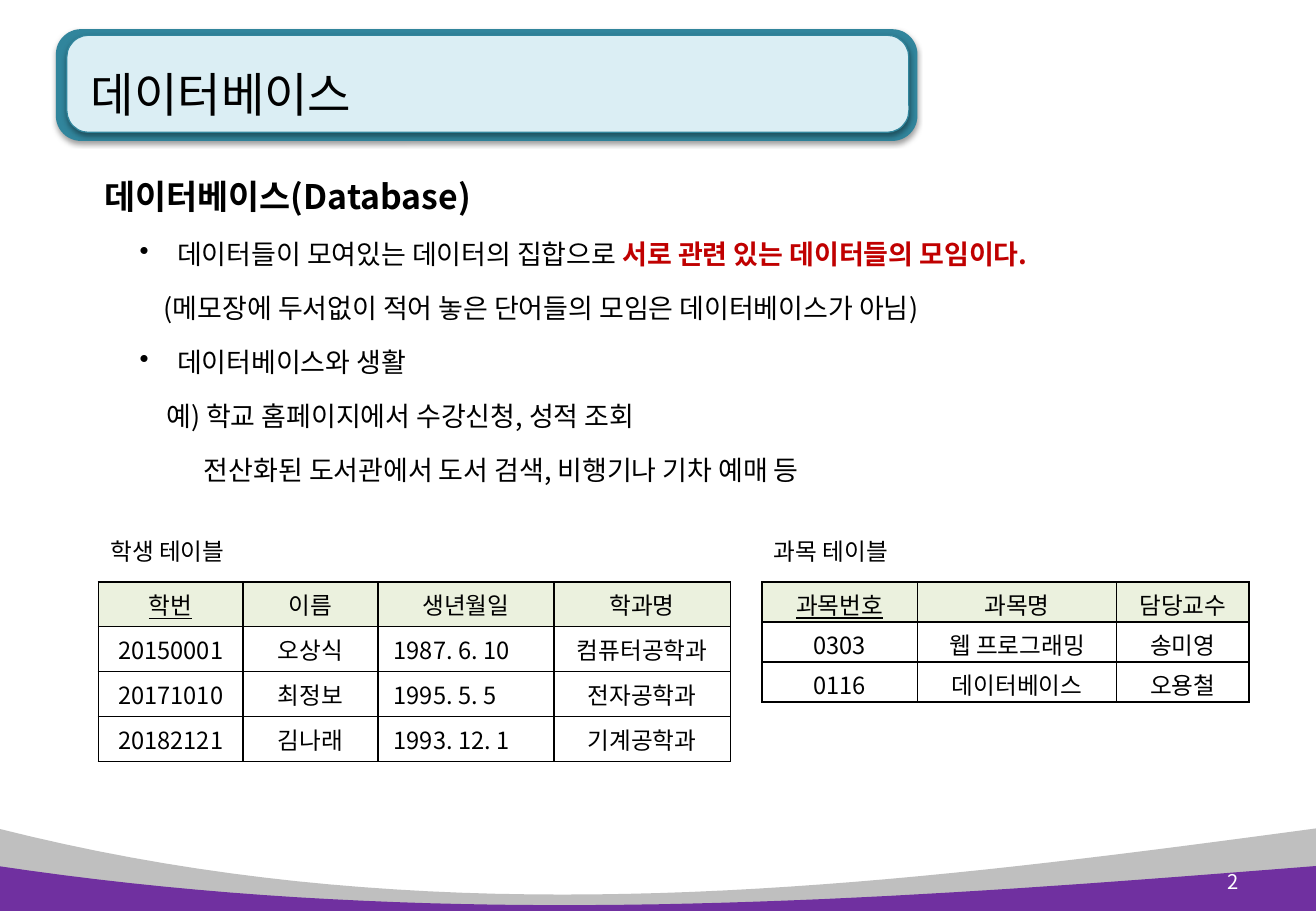
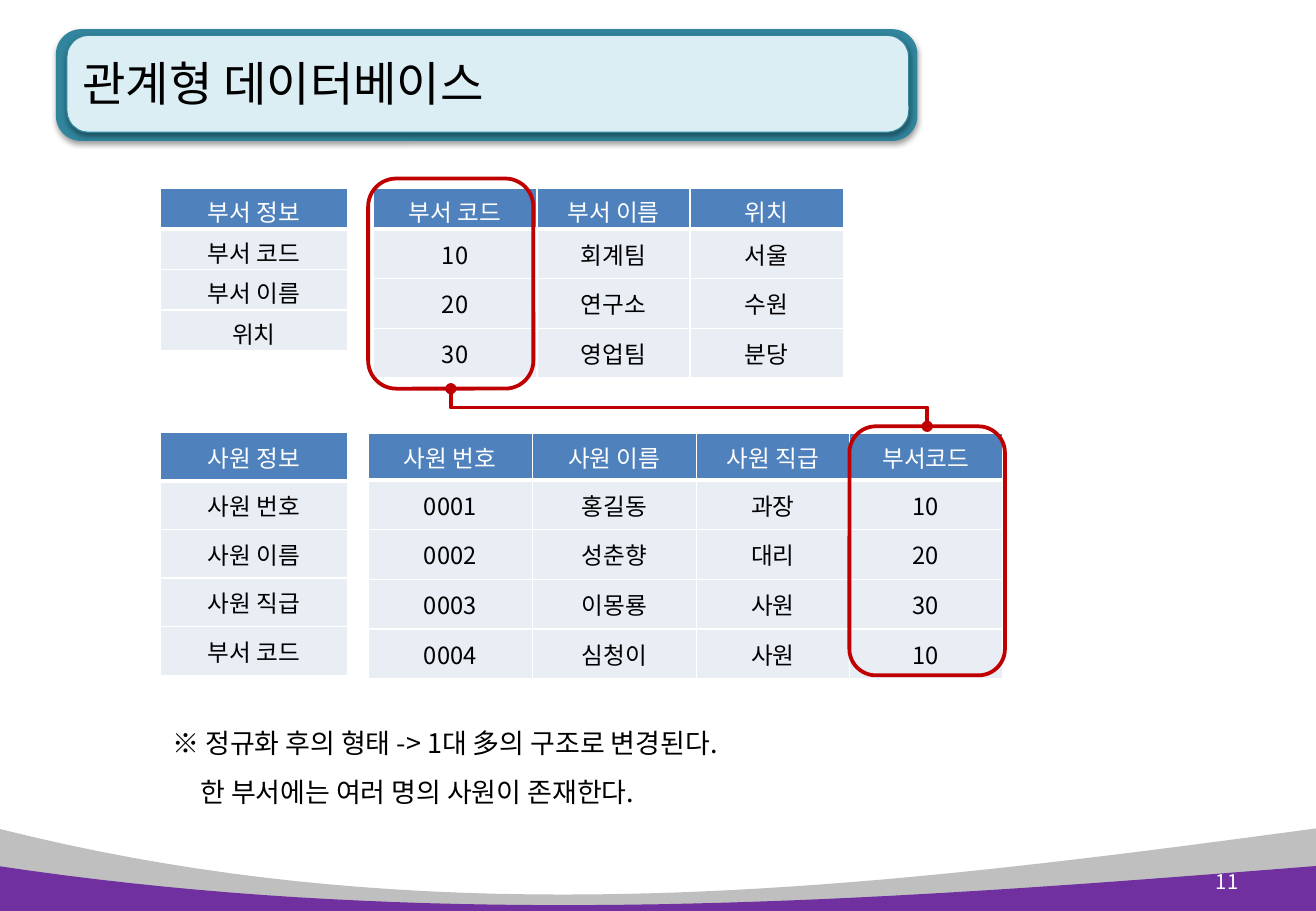
from lxml import etree
from pptx import Presentation
from pptx.dml.color import RGBColor
from pptx.enum.shapes import MSO_CONNECTOR, MSO_SHAPE
from pptx.enum.text import MSO_ANCHOR, PP_ALIGN
from pptx.oxml.ns import qn
from pptx.util import Inches, Pt

ROUNDED = MSO_SHAPE.ROUNDED_RECTANGLE
ELBOW = MSO_CONNECTOR.ELBOW
TOP, MIDDLE = MSO_ANCHOR.TOP, MSO_ANCHOR.MIDDLE
LEFT, CENTER, RIGHT = PP_ALIGN.LEFT, PP_ALIGN.CENTER, PP_ALIGN.RIGHT

FONT = "Noto Sans CJK KR"
BLACK = RGBColor(0x00, 0x00, 0x00)
WHITE = RGBColor(0xFF, 0xFF, 0xFF)
GRAY = RGBColor(0xBF, 0xBF, 0xBF)
PURPLE = RGBColor(0x70, 0x30, 0xA0)
TEAL = RGBColor(0x31, 0x85, 0x9C)
PALE_TEAL = RGBColor(0xDB, 0xEE, 0xF4)
PALE_GREEN = RGBColor(0xEB, 0xF1, 0xDE)
BLUE = RGBColor(0x4F, 0x81, 0xBD)
PALE_BLUE = RGBColor(0xE9, 0xED, 0xF4)
RED = RGBColor(0xC0, 0x00, 0x00)

PLAIN_STYLE = {"header_fill": PALE_GREEN, "header_color": BLACK, "body_fill": None,
               "border": BLACK, "header_rule": 1, "margins": (0.09, 0.04)}
BLUE_STYLE = {"header_fill": BLUE, "header_color": WHITE, "body_fill": PALE_BLUE,
              "border": WHITE, "header_rule": 3, "margins": (0.11, 0.05)}


def add_element(parent, tag, **attributes):
    """Append a DrawingML element with the given attributes."""
    return etree.SubElement(parent, qn(tag), {key: str(value) for key, value in attributes.items()})


def format_run(run, size, color=BLACK, bold=False):
    """Set the font of a run for Latin and East Asian text."""
    run.font.name = FONT
    run.font.size = Pt(size)
    run.font.bold = bold
    run.font.color.rgb = color
    add_element(run._r.get_or_add_rPr(), "a:ea", typeface=FONT)


def add_textbox(slide, box, anchor=TOP):
    """Add an empty wrapping text box and return its text frame."""
    text_frame = slide.shapes.add_textbox(*map(Inches, box)).text_frame
    text_frame.word_wrap = True
    text_frame.vertical_anchor = anchor
    return text_frame


def add_label(slide, box, text, size, color=BLACK, anchor=TOP, align=LEFT):
    """Add a one-line text box."""
    paragraph = add_textbox(slide, box, anchor).paragraphs[0]
    paragraph.text = text
    paragraph.alignment = align
    format_run(paragraph.runs[0], size, color)


def add_paragraphs(slide, box, items, space_ratio=0):
    """Fill a text box from (size, left margin, bulleted, runs) items."""
    text_frame = add_textbox(slide, box)
    for index, (size, margin, bulleted, runs) in enumerate(items):
        paragraph = text_frame.add_paragraph() if index else text_frame.paragraphs[0]
        paragraph.line_spacing = 1.5
        paragraph.space_before = Pt(size * space_ratio)
        properties = paragraph._p.get_or_add_pPr()
        properties.set("marL", str(Inches(margin)))
        properties.set("indent", str(Inches(-0.31 if bulleted else 0)))
        if bulleted:
            add_element(properties, "a:buChar", char="•")
        for text, color, bold in runs:
            run = paragraph.add_run()
            run.text = text
            format_run(run, size, color, bold)


def add_wave(slide, start, controls, end, bottom, color, steps=40):
    """Add a band whose upper edge is a cubic curve."""
    points = [start, *controls, end]
    curve = []
    for step in range(steps + 1):
        t = step / steps
        weights = ((1 - t) ** 3, 3 * t * (1 - t) ** 2, 3 * t ** 2 * (1 - t), t ** 3)
        curve.append(tuple(Inches(sum(w * point[axis] for w, point in zip(weights, points)))
                           for axis in (0, 1)))
    corners = [(Inches(end[0]), Inches(bottom)), (Inches(start[0]), Inches(bottom))]
    builder = slide.shapes.build_freeform(*curve[0], scale=1.0)
    builder.add_line_segments(curve[1:] + corners, close=True)
    shape = builder.convert_to_shape()
    shape.shadow.inherit = False
    shape.fill.solid()
    shape.fill.fore_color.rgb = color
    shape.line.fill.background()


def add_rounded(slide, box, fill=None, line=None, width=0.75, radius=0.17):
    """Add a rounded rectangle without a shadow."""
    shape = slide.shapes.add_shape(ROUNDED, *map(Inches, box))
    shape.adjustments[0] = radius
    shape.shadow.inherit = False
    if fill is None:
        shape.fill.background()
    else:
        shape.fill.solid()
        shape.fill.fore_color.rgb = fill
    if line is None:
        shape.line.fill.background()
    else:
        shape.line.color.rgb = line
        shape.line.width = Pt(width)
    return shape


def add_soft_shadow(shape):
    """Give a shape a soft shadow below it."""
    effects = shape._element.spPr.find(qn("a:effectLst"))
    shadow = add_element(effects, "a:outerShdw", blurRad=Pt(3.1), dist=Pt(1.6),
                         dir=5400000, rotWithShape=0)
    color = add_element(shadow, "a:srgbClr", val=BLACK)
    add_element(color, "a:alpha", val=38000)


def add_link(slide, start, end):
    """Add a red elbow that leaves downwards, with a dot at both ends."""
    middle_x, middle_y = (start[0] + end[0]) / 2, (start[1] + end[1]) / 2
    half_drop, half_run = (end[1] - start[1]) / 2, (end[0] - start[0]) / 2
    connector = slide.shapes.add_connector(
        ELBOW, Inches(middle_x + half_drop), Inches(middle_y - half_run),
        Inches(middle_x - half_drop), Inches(middle_y + half_run))
    connector.line.color.rgb = RED
    connector.line.width = Pt(2.25)
    properties = connector._element.spPr
    properties.find(qn("a:xfrm")).set("rot", "16200000")
    line = properties.find(qn("a:ln"))
    add_element(line, "a:headEnd", type="oval")
    add_element(line, "a:tailEnd", type="oval")
    add_element(properties, "a:effectLst")


def set_borders(cell, color, bottom_width):
    """Draw the four borders of a cell."""
    for side, width in (("L", 1), ("R", 1), ("T", 1), ("B", bottom_width)):
        line = add_element(cell._tc.get_or_add_tcPr(), f"a:ln{side}", w=Pt(width))
        add_element(add_element(line, "a:solidFill"), "a:srgbClr", val=color)


def format_cell(cell, style, is_header):
    """Apply a table style to one filled cell."""
    horizontal, vertical = map(Inches, style["margins"])
    cell.margin_left = cell.margin_right = horizontal
    cell.margin_top = cell.margin_bottom = vertical
    cell.vertical_anchor = MIDDLE
    set_borders(cell, style["border"], style["header_rule"] if is_header else 1)
    fill = style["header_fill"] if is_header else style["body_fill"]
    if fill is None:
        cell.fill.background()
    else:
        cell.fill.solid()
        cell.fill.fore_color.rgb = fill
    paragraph = cell.text_frame.paragraphs[0]
    paragraph.alignment = CENTER
    format_run(paragraph.runs[0], 14, style["header_color"] if is_header else BLACK)


def add_data_table(slide, left, top, widths, heights, rows, style):
    """Add a table with a header row and return it."""
    frame = slide.shapes.add_table(len(rows), len(widths), Inches(left), Inches(top),
                                   Inches(sum(widths)), Inches(sum(heights)))
    table = frame.table
    table.first_row = table.horz_banding = False
    for column, width in zip(table.columns, widths):
        column.width = Inches(width)
    for row_index, (height, values) in enumerate(zip(heights, rows)):
        table.rows[row_index].height = Inches(height)
        for column_index, value in enumerate(values):
            cell = table.cell(row_index, column_index)
            cell.text = value
            format_cell(cell, style, row_index == 0)
    return table


def underline_key(table):
    """Underline the key column's heading."""
    table.cell(0, 0).text_frame.paragraphs[0].runs[0].font.underline = True


def add_base_slide(presentation, title, title_box, number):
    """Add a slide with the waves, the title plate and the page number."""
    slide = presentation.slides.add_slide(presentation.slide_layouts[6])
    add_wave(slide, (-0.02, 6.82), [(3.65, 7.75), (7.2, 7.31)], (10.83, 6.82), 7.5, GRAY)
    add_soft_shadow(add_rounded(slide, (0.46, 0.24, 7.09, 0.92), TEAL, radius=0.225))
    add_soft_shadow(add_rounded(slide, (0.55, 0.29, 6.93, 0.8), PALE_TEAL, TEAL, radius=0.225))
    add_wave(slide, (-0.02, 7.13), [(3.65, 7.68), (7.2, 7.42)], (10.83, 7.13), 7.53, PURPLE)
    add_label(slide, title_box, title, 28, anchor=MIDDLE)
    add_label(slide, (9.68, 7.06, 0.61, 0.4), number, 12, WHITE, MIDDLE, RIGHT)
    return slide


def build_database_slide(presentation):
    """Build the slide that defines a database."""
    slide = add_base_slide(presentation, "데이터베이스", (0.65, 0.3, 3.66, 0.94), "2")
    add_paragraphs(slide, (0.55, 1.23, 10.15, 2.99), [
        (20, 0.21, False, [("데이터베이스(Database)", BLACK, True)]),
        (16, 0.81, True, [("데이터들이 모여있는 데이터의 집합으로 ", BLACK, False),
                          ("서로 관련 있는 데이터들의 모임이다.", RED, True)]),
        (16, 0.7, False, [("(메모장에 두서없이 적어 놓은 단어들의 모임은 데이터베이스가 아님)",
                           BLACK, False)]),
        (16, 0.81, True, [("데이터베이스와 생활", BLACK, False)]),
        (16, 0.72, False, [("예) 학교 홈페이지에서 수강신청, 성적 조회", BLACK, False)]),
        (16, 1.03, False, [("전산화된 도서관에서 도서 검색, 비행기나 기차 예매 등", BLACK, False)]),
    ], space_ratio=0.2)
    students = add_data_table(slide, 0.81, 4.79, [1.19, 1.11, 1.45, 1.45], [0.37] * 4, [
        ("학번", "이름", "생년월일", "학과명"),
        ("20150001", "오상식", "1987. 6. 10", "컴퓨터공학과"),
        ("20171010", "최정보", "1995. 5. 5", "전자공학과"),
        ("20182121", "김나래", "1993. 12. 1", "기계공학과"),
    ], PLAIN_STYLE)
    for row_index in range(1, 4):
        birth_cell = students.cell(row_index, 2)
        birth_cell.margin_left = Inches(0.13)
        birth_cell.text_frame.paragraphs[0].alignment = LEFT
    courses = add_data_table(slide, 6.27, 4.79, [1.28, 1.64, 1.09], [0.33] * 3, [
        ("과목번호", "과목명", "담당교수"),
        ("0303", "웹 프로그래밍", "송미영"),
        ("0116", "데이터베이스", "오용철"),
    ], PLAIN_STYLE)
    underline_key(students)
    underline_key(courses)
    for left, caption in ((0.81, "학생 테이블"), (6.27, "과목 테이블")):
        add_label(slide, (left, 4.37, 1.62, 0.34), caption, 14)


def build_relational_slide(presentation):
    """Build the slide that links departments and employees."""
    slide = add_base_slide(presentation, "관계형 데이터베이스", (0.58, 0.21, 4.61, 0.94), "11")
    add_data_table(slide, 3.03, 3.57, [1.35, 1.35, 1.26, 1.26], [0.38] + [0.41] * 4, [
        ("사원 번호", "사원 이름", "사원 직급", "부서코드"),
        ("0001", "홍길동", "과장", "10"),
        ("0002", "성춘향", "대리", "20"),
        ("0003", "이몽룡", "사원", "30"),
        ("0004", "심청이", "사원", "10"),
    ], BLUE_STYLE)
    employee_fields = ["사원 정보", "사원 번호", "사원 이름", "사원 직급", "부서 코드"]
    add_data_table(slide, 1.32, 3.56, [1.54], [0.4] * 5,
                   [(field,) for field in employee_fields], BLUE_STYLE)
    add_rounded(slide, (6.99, 3.51, 1.28, 2.05), line=RED, width=2.25)
    add_paragraphs(slide, (1.32, 5.8, 7.74, 0.91), [
        (16, 0, False, [("※ 정규화 후의 형태 -> 1대 多의 구조로 변경된다.", BLACK, False)]),
        (16, 0.23, False, [("한 부서에는 여러 명의 사원이 존재한다.", BLACK, False)]),
    ])
    department_fields = ["부서 정보", "부서 코드", "부서 이름", "위치"]
    add_data_table(slide, 1.32, 1.55, [1.54], [0.33] * 4,
                   [(field,) for field in department_fields], BLUE_STYLE)
    add_data_table(slide, 3.07, 1.55, [1.35, 1.26, 1.26], [0.33] + [0.41] * 3, [
        ("부서 코드", "부서 이름", "위치"),
        ("10", "회계팀", "서울"),
        ("20", "연구소", "수원"),
        ("30", "영업팀", "분당"),
    ], BLUE_STYLE)
    add_rounded(slide, (3.03, 1.47, 1.36, 1.73), line=RED, width=2.25)
    add_link(slide, (3.71, 3.2), (7.63, 3.51))


def main():
    """Build and save the presentation."""
    presentation = Presentation()
    presentation.slide_width = Inches(10.83)
    presentation.slide_height = Inches(7.5)
    build_database_slide(presentation)
    build_relational_slide(presentation)
    presentation.save("out.pptx")


main()
